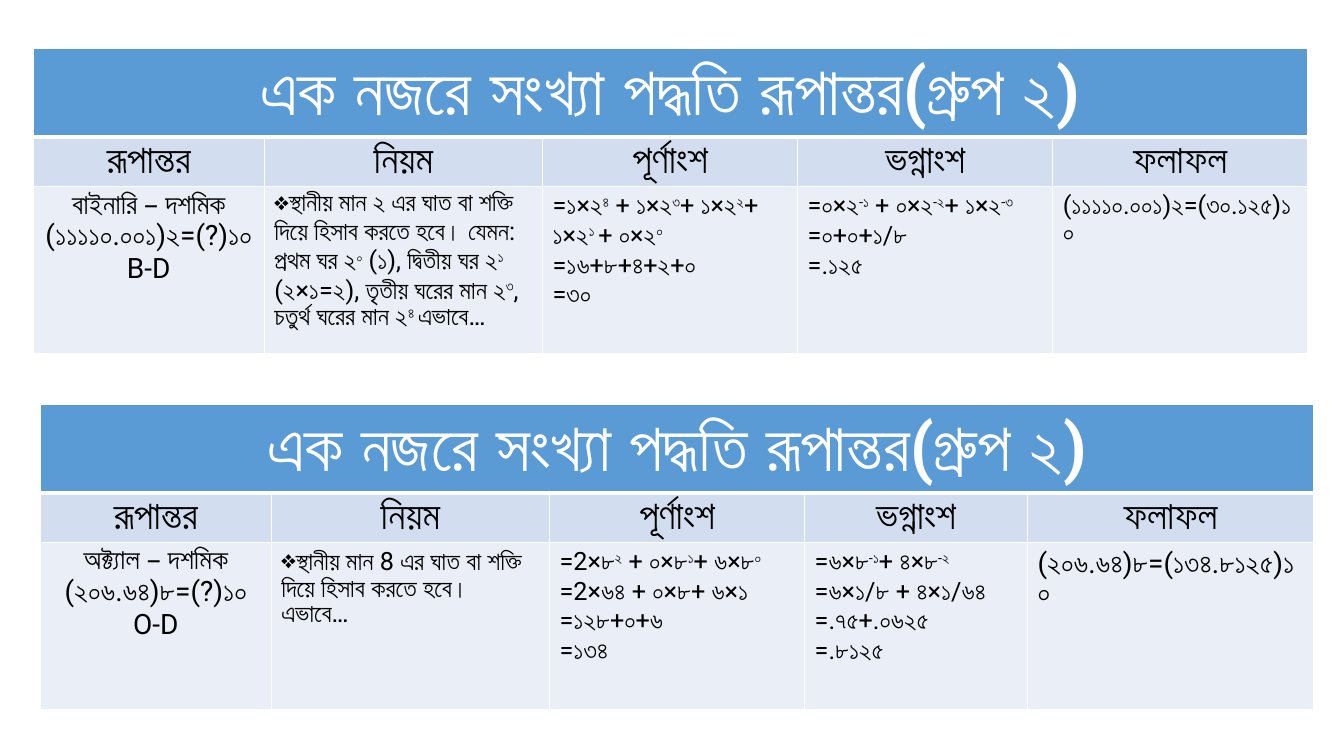
import pptx
import pptx.dml.color
import pptx.enum.text
import pptx.oxml
import pptx.oxml.ns
import pptx.util

COLORS = {"title": "5B9BD5", "heading": "D2DEEF", "body": "EAEFF7",
          "white": "FFFFFF", "black": "000000"}
CENTER = pptx.enum.text.PP_ALIGN.CENTER
LEFT = pptx.enum.text.PP_ALIGN.LEFT
NAMESPACE = pptx.oxml.ns.nsdecls("a")

TITLE = "এক নজরে সংখ্যা পদ্ধতি রূপান্তর(গ্রুপ ২)"
HEADINGS = ["রূপান্তর", "নিয়ম", "পূর্ণাংশ", "ভগ্নাংশ", "ফলাফল"]

# Text between ^ marks is superscript.
BINARY = [
    ["বাইনারি – দশমিক (১১১১০.০০১)২=(?)১০", "B-D"],
    ["স্থানীয় মান ২ এর ঘাত বা শক্তি দিয়ে হিসাব করতে হবে। যেমন: প্রথম ঘর ২^০^ (১), "
     "দ্বিতীয় ঘর ২^১^ (২×১=২), তৃতীয় ঘরের মান ২^৩^, চতুর্থ ঘরের মান ২^৪ ^এভাবে…"],
    ["=১×২^৪^ + ১×২^৩^+ ১×২^২^+ ১×২^১ ^+ ০×২^০^", "=১৬+৮+৪+২+০", "=৩০"],
    ["=০×২^-১^ + ০×২^-২^+ ১×২^-৩^", "=০+০+১/৮", "=.১২৫"],
    ["(১১১১০.০০১)২=(৩০.১২৫)১০"],
]
OCTAL = [
    ["অক্ট্যাল – দশমিক (২০৬.৬৪)৮=(?)১০", "O-D"],
    ["স্থানীয় মান 8 এর ঘাত বা শক্তি দিয়ে হিসাব করতে হবে। এভাবে…"],
    ["=2×৮^২^ + ০×৮^১^+ ৬×৮^০^", "=2×৬৪ + ০×৮+ ৬×১", "=১২৮+০+৬", "=১৩৪"],
    ["=৬×৮^-১^+ ৪×৮^-২^", "=৬×১/৮ + ৪×১/৬৪", "=.৭৫+.০৬২৫", "=.৮১২৫"],
    ["(২০৬.৬৪)৮=(১৩৪.৮১২৫)১০"],
]


class ConversionSlide:
    font = "Roboto"
    row_shares = [8.27, 5.2, 22.13]
    frame_share = 41.73

    def __init__(self, deck):
        self.width, self.height = deck.slide_width, deck.slide_height
        self.slide = deck.slides.add_slide(deck.slide_layouts[6])

    def across(self, percent):
        return round(self.width * percent / 100)

    def down(self, percent):
        return round(self.height * percent / 100)

    def border(self, cell, top, bottom):
        """Draw white edges, one point wide at the sides."""
        properties = cell._tc.get_or_add_tcPr()
        for side, points in zip("LRTB", (1, 1, top, bottom)):
            properties.append(pptx.oxml.parse_xml(
                f'<a:ln{side} {NAMESPACE} w="{pptx.util.Pt(points)}"><a:solidFill>'
                f'<a:srgbClr val="{COLORS["white"]}"/></a:solidFill></a:ln{side}>'))

    def fill(self, cell, color):
        cell.fill.solid()
        cell.fill.fore_color.rgb = pptx.dml.color.RGBColor.from_string(COLORS[color])

    def set_lines(self, cell, lines, size, align=LEFT, color="black", bold=False):
        cell.text_frame.text = "\n".join(line.replace("^", "") for line in lines)
        for paragraph, line in zip(cell.text_frame.paragraphs, lines):
            paragraph.alignment = align
            if "^" in line:
                paragraph.clear()
                for position, part in enumerate(line.split("^")):
                    if part:
                        run = paragraph.add_run()
                        run.text = part
                        if position % 2:
                            run.font._element.set("baseline", "30000")
            for run in paragraph.runs:
                run.font.name = self.font
                run.font.size = pptx.util.Pt(size)
                run.font.bold = bold
                run.font.color.rgb = pptx.dml.color.RGBColor.from_string(COLORS[color])

    def bullet(self, cell):
        properties = cell.text_frame.paragraphs[0]._p.get_or_add_pPr()
        properties.set("marL", "0")
        properties.set("indent", "0")
        properties.append(pptx.oxml.parse_xml(f'<a:buChar {NAMESPACE} char="❖"/>'))

    def conversion_table(self, left, top, column_shares, answers, result_size):
        frame = self.slide.shapes.add_table(
            len(self.row_shares), len(column_shares), self.across(left), self.down(top),
            self.across(sum(column_shares)), self.down(self.frame_share))
        table = frame.table
        for column, share in zip(table.columns, column_shares):
            column.width = self.across(share)
        for row, share in zip(table.rows, self.row_shares):
            row.height = self.down(share)
        frame.height = self.down(self.frame_share)

        edges = [("title", 1, 3), ("heading", 3, 1), ("body", 1, 1)]
        for row, (color, upper, lower) in zip(table.rows, edges):
            for cell in row.cells:
                self.border(cell, upper, lower)
                self.fill(cell, color)

        title = table.cell(0, 0)
        title.merge(table.cell(0, len(column_shares) - 1))
        title.vertical_anchor = pptx.enum.text.MSO_ANCHOR.MIDDLE
        self.set_lines(title, [TITLE], 48, CENTER, "white", True)

        sizes = [20, 18, 18, 18, result_size]
        for index, (heading, lines, size) in enumerate(zip(HEADINGS, answers, sizes)):
            self.set_lines(table.cell(1, index), [heading], 28, CENTER)
            self.set_lines(table.cell(2, index), lines, size, LEFT if index else CENTER)
        self.bullet(table.cell(2, 1))
        return table


def main():
    deck = pptx.Presentation()
    deck.slide_width = pptx.util.Inches(13.33)
    deck.slide_height = pptx.util.Inches(7.5)
    page = ConversionSlide(deck)
    binary = page.conversion_table(
        2.48, 6.4, [17.18, 20.71, 18.98, 18.98, 18.98], BINARY, 18)
    first_power = binary.cell(2, 1).text_frame.paragraphs[0].runs[1]
    first_power.font.size = pptx.util.Pt(16)
    page.conversion_table(
        3, 53.47, [17.18, 20.71, 18.98, 16.58, 21.31], OCTAL, 20)
    deck.save("out.pptx")


if __name__ == "__main__":
    main()
